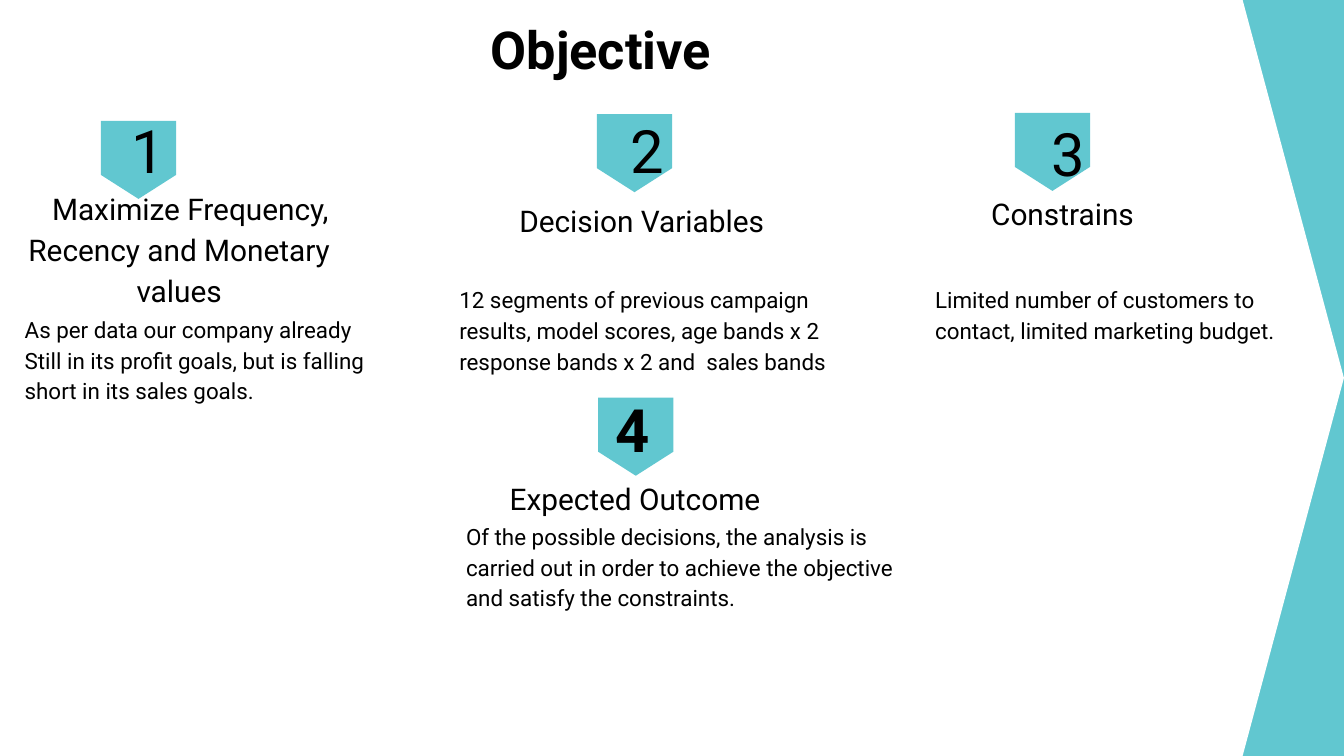
from pptx import Presentation
from pptx.dml.color import RGBColor
from pptx.enum import shapes, text
from pptx.util import Pt

TEAL = RGBColor(0x61, 0xC7, 0xD0)
WHITE = RGBColor(0xFF, 0xFF, 0xFF)
BLACK = RGBColor(0, 0, 0)
LEFT, CENTER = text.PP_ALIGN.LEFT, text.PP_ALIGN.CENTER
TOP, MIDDLE = text.MSO_ANCHOR.TOP, text.MSO_ANCHOR.MIDDLE


def write(sp, lines, size=12, bold=False, align=LEFT, anchor=TOP, spacing=1.0, indent=0):
    """Fill a shape with formatted paragraphs."""
    tf = sp.text_frame
    tf.word_wrap = True
    tf.auto_size = text.MSO_AUTO_SIZE.NONE
    tf.vertical_anchor = anchor
    tf.margin_left = tf.margin_right = tf.margin_top = tf.margin_bottom = Pt(7.2)
    for i, line in enumerate(lines):
        p = tf.paragraphs[0] if i == 0 else tf.add_paragraph()
        p.alignment = align
        p.line_spacing = spacing
        p.space_before = p.space_after = Pt(0)
        if indent:
            p._p.get_or_add_pPr().set("indent", str(Pt(indent)))
        r = p.add_run()
        r.text = line
        r.font.name = "Roboto"
        r.font.size = Pt(size)
        r.font.bold = bold
        r.font.color.rgb = BLACK


class Deck:
    """Hold the style and the current slide."""

    def __init__(self, s):
        self.s = s
        s.background.fill.solid()
        s.background.fill.fore_color.rgb = TEAL

    def place(self, sp, x, y, w, h):
        """Move and size a placeholder."""
        sp.left, sp.top, sp.width, sp.height = Pt(x), Pt(y), Pt(w), Pt(h)
        return sp

    def box(self, x, y, w, h):
        """Add an empty text box."""
        return self.s.shapes.add_textbox(Pt(x), Pt(y), Pt(w), Pt(h))

    def plate(self, x, y, w, h, color, adj, rotation=0):
        """Add a plain pentagon."""
        sp = self.s.shapes.add_shape(shapes.MSO_SHAPE.PENTAGON, Pt(x), Pt(y), Pt(w), Pt(h))
        sp.adjustments[0] = adj
        sp.rotation = rotation
        sp.shadow.inherit = False
        sp.fill.solid()
        sp.fill.fore_color.rgb = color
        sp.line.fill.background()
        return sp

    def title(self, line):
        """Write the slide title."""
        sp = self.place(self.s.shapes.title, 18, 2.2, 607.7, 45.4)
        write(sp, [line], size=28, bold=True, align=CENTER)

    def marker(self, x, y, number, cx, cy, bold=False):
        """Add a downward tag and its number."""
        self.plate(x, y, 41.8, 40.3, TEAL, 0.319, rotation=90)
        write(self.box(cx - 25, cy - 26, 50, 52), [number], size=32, bold=bold,
              align=CENTER, anchor=MIDDLE)

    def heading(self, cx, y, w, line, indent=0):
        """Add a heading centred on cx."""
        write(self.box(cx - w / 2, y, w, 45.4), [line], size=16, align=CENTER,
              spacing=1.15, indent=indent)

    def body(self, sp, lines):
        """Write a description."""
        write(sp, lines, spacing=1.15)


def main():
    """Build the objective slide."""
    prs = Presentation()
    prs.slide_width, prs.slide_height = Pt(720), Pt(405)
    s = prs.slides.add_slide(prs.slide_layouts[0])
    d = Deck(s)
    backdrop = d.plate(0, 0, 720, 405, WHITE, 0.134)
    s.shapes._spTree.insert(2, backdrop._element)
    d.title("Objective")

    for marker in [(53.3, 65.5, "1", 79.2, 80.4), (319, 61.9, "2", 347, 80.4),
                   (542.9, 61.2, "3", 572.4, 82), (319.7, 213.8, "4", 338.8, 229.7, True)]:
        d.marker(*marker)

    d.heading(96, 92, 182, "Maximize Frequency, Recency and Monetary values", indent=12)
    d.heading(343.8, 98.6, 209.5, "Decision Variables")
    d.heading(569.2, 95, 209.5, "Constrains")
    d.heading(340.2, 247.7, 209.5, "Expected Outcome")

    d.body(d.place(s.placeholders[1], 6, 159.8, 220.3, 116.6), [
        "As per data our company already",
        "Still in its profit goals, but is falling short in its sales goals."])
    d.body(d.box(239, 144, 220.3, 116.6), [
        "12 segments of previous campaign results, model scores, "
        "age bands x 2 response bands x 2 and  sales bands"])
    d.body(d.box(493.9, 144, 220.3, 116.6), [
        "Limited number of customers to", "contact, limited marketing budget."])
    d.body(d.box(242.6, 270.7, 256.3, 116.6), [
        "Of the possible decisions, the analysis is carried out in order to achieve the objective",
        "and satisfy the constraints."])
    prs.save("out.pptx")


if __name__ == "__main__":
    main()
